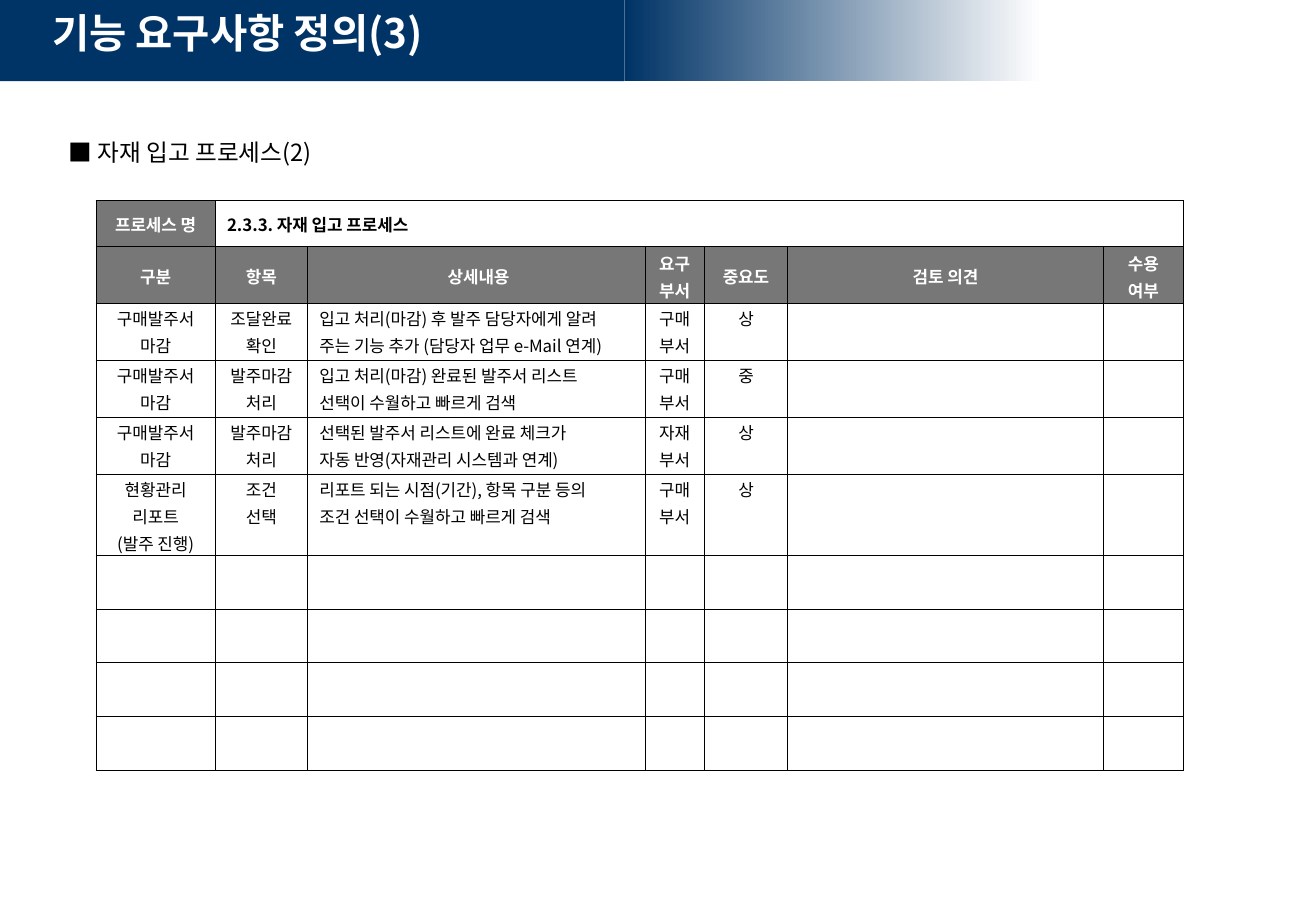
from lxml import etree
from pptx import Presentation
from pptx.dml.color import RGBColor
from pptx.enum.shapes import MSO_SHAPE
from pptx.enum.text import MSO_ANCHOR, PP_ALIGN
from pptx.oxml.ns import qn
from pptx.util import Cm, Pt

RECTANGLE = MSO_SHAPE.RECTANGLE
TOP, MIDDLE = MSO_ANCHOR.TOP, MSO_ANCHOR.MIDDLE
LEFT, CENTER, JUSTIFY = PP_ALIGN.LEFT, PP_ALIGN.CENTER, PP_ALIGN.JUSTIFY

FONT = "Noto Sans CJK KR"
NAVY, GRAY, WHITE, BLACK = "003366", "777777", "FFFFFF", "000000"

TITLE = "기능 요구사항 정의(3)"
HEADING = "■ 자재 입고 프로세스(2)"
PROCESS = ["프로세스 명", "2.3.3. 자재 입고 프로세스"]
HEADERS = ["구분", "항목", "상세내용", "요구\n부서", "중요도", "검토 의견", "수용\n여부"]
REQUIREMENTS = [
    ["구매발주서\n마감", "조달완료\n확인",
     "입고 처리(마감) 후 발주 담당자에게 알려\n주는 기능 추가 (담당자 업무 e-Mail 연계)", "구매\n부서", "상"],
    ["구매발주서\n마감", "발주마감\n처리",
     "입고 처리(마감) 완료된 발주서 리스트\n선택이 수월하고 빠르게 검색", "구매\n부서", "중"],
    ["구매발주서\n마감", "발주마감\n처리",
     "선택된 발주서 리스트에 완료 체크가\n자동 반영(자재관리 시스템과 연계)", "자재\n부서", "상"],
    ["현황관리\n리포트\n(발주 진행)", "조건\n선택",
     "리포트 되는 시점(기간), 항목 구분 등의\n조건 선택이 수월하고 빠르게 검색", "구매\n부서", "상"],
]
EMPTY_ROWS = 4
DETAIL_COLUMN = 2
COLUMN_WIDTHS = [2.49, 1.93, 7.06, 1.24, 1.75, 6.6, 1.68]
ROW_HEIGHTS = [0.97] + [1.19] * 4 + [1.7] + [1.12] * EMPTY_ROWS
BAND_HEIGHT, BAND_SPLIT, BAND_FADE = 1.7, 13.06, 8.74


def color(value):
    """Turn a hex string into a colour."""
    return RGBColor.from_string(value)


def apply(target, values):
    """Set attributes from a dict."""
    for name, value in values.items():
        setattr(target, name, value)


def write(frame, text, size, ink, bold=False, paragraph_format=None, gap=0):
    """Write one paragraph per line of text."""
    for index, line in enumerate(text.split("\n")):
        paragraph = frame.add_paragraph() if index else frame.paragraphs[0]
        apply(paragraph, {**(paragraph_format or {}), "space_before": Pt(gap if index else 0)})
        run = paragraph.add_run()
        run.text = line
        apply(run.font, {"name": FONT, "size": Pt(size), "bold": bold})
        run.font.color.rgb = color(ink)
        etree.SubElement(run.font._element, qn("a:ea"), typeface=FONT)


def add_band(slide, left, width):
    """Add one part of the title band and return its fill."""
    shape = slide.shapes.add_shape(RECTANGLE, Cm(left), Cm(0), Cm(width), Cm(BAND_HEIGHT))
    shape.shadow.inherit = False
    shape.line.fill.background()
    return shape.fill


def add_text(slide, box, text, size, ink, bold=False, paragraph_format=None):
    """Add a wrapped text box."""
    frame = slide.shapes.add_textbox(*map(Cm, box)).text_frame
    frame.word_wrap = True
    write(frame, text, size, ink, bold, paragraph_format)


def add_borders(cell):
    """Draw thin black lines around a cell."""
    properties = cell._tc.get_or_add_tcPr()
    for index, side in enumerate(["lnL", "lnR", "lnT", "lnB"]):
        line = etree.Element(qn(f"a:{side}"), w=str(Pt(0.45)))
        fill = etree.SubElement(line, qn("a:solidFill"))
        etree.SubElement(fill, qn("a:srgbClr"), val=BLACK)
        properties.insert(index, line)


def format_cell(cell, text, row, column):
    """Fill, border and write a table cell."""
    process_name = row == 0 and column > 0
    heading = row < 2
    apply(cell, {"margin_left": Cm(0.25), "margin_right": Cm(0.15 if column == DETAIL_COLUMN else 0.25),
                 "margin_top": Cm(0.08), "margin_bottom": Cm(0),
                 "vertical_anchor": MIDDLE if heading else TOP})
    if heading:
        cell.fill.solid()
        cell.fill.fore_color.rgb = color(WHITE if process_name else GRAY)
    else:
        cell.fill.background()
    add_borders(cell)
    if text:
        left_aligned = process_name or (not heading and column == DETAIL_COLUMN)
        ink = WHITE if heading and not process_name else BLACK
        write(cell.text_frame, text, 10, ink, heading,
              {"alignment": LEFT if left_aligned else CENTER, "line_spacing": Pt(13.5)}, 2.5)


def add_requirements(slide):
    """Add the requirements table."""
    rows = [PROCESS, HEADERS, *REQUIREMENTS] + [[]] * EMPTY_ROWS
    columns = len(COLUMN_WIDTHS)
    table = slide.shapes.add_table(len(rows), columns, Cm(2.01), Cm(4.19),
                                   Cm(sum(COLUMN_WIDTHS)), Cm(sum(ROW_HEIGHTS))).table
    apply(table, {"first_row": False, "horz_banding": False})
    for column, width in zip(table.columns, COLUMN_WIDTHS):
        column.width = Cm(width)
    for row, height in zip(table.rows, ROW_HEIGHTS):
        row.height = Cm(height)
    table.cell(0, 1).merge(table.cell(0, columns - 1))
    for row, texts in enumerate(rows):
        for column in range(columns):
            text = texts[column] if column < len(texts) else ""
            format_cell(table.cell(row, column), text, row, column)


def main():
    """Build and save the slide."""
    presentation = Presentation()
    apply(presentation, {"slide_width": Cm(27.53), "slide_height": Cm(19.05)})
    slide = presentation.slides.add_slide(presentation.slide_layouts[6])
    fade = add_band(slide, BAND_SPLIT, BAND_FADE)
    fade.gradient()
    fade.gradient_angle = 0
    for stop, value, position in zip(fade.gradient_stops, [NAVY, WHITE], [0, 1]):
        stop.color.rgb = color(value)
        stop.position = position
    band = add_band(slide, 0, BAND_SPLIT)
    band.solid()
    band.fore_color.rgb = color(NAVY)
    add_requirements(slide)
    add_text(slide, (0.84, 0.05, 14.33, 1.47), TITLE, 24, WHITE, True)
    add_text(slide, (1.19, 2.64, 23.98, 1.11), HEADING, 14, BLACK,
             paragraph_format={"alignment": JUSTIFY, "line_spacing": 1.2})
    presentation.save("out.pptx")


if __name__ == "__main__":
    main()
